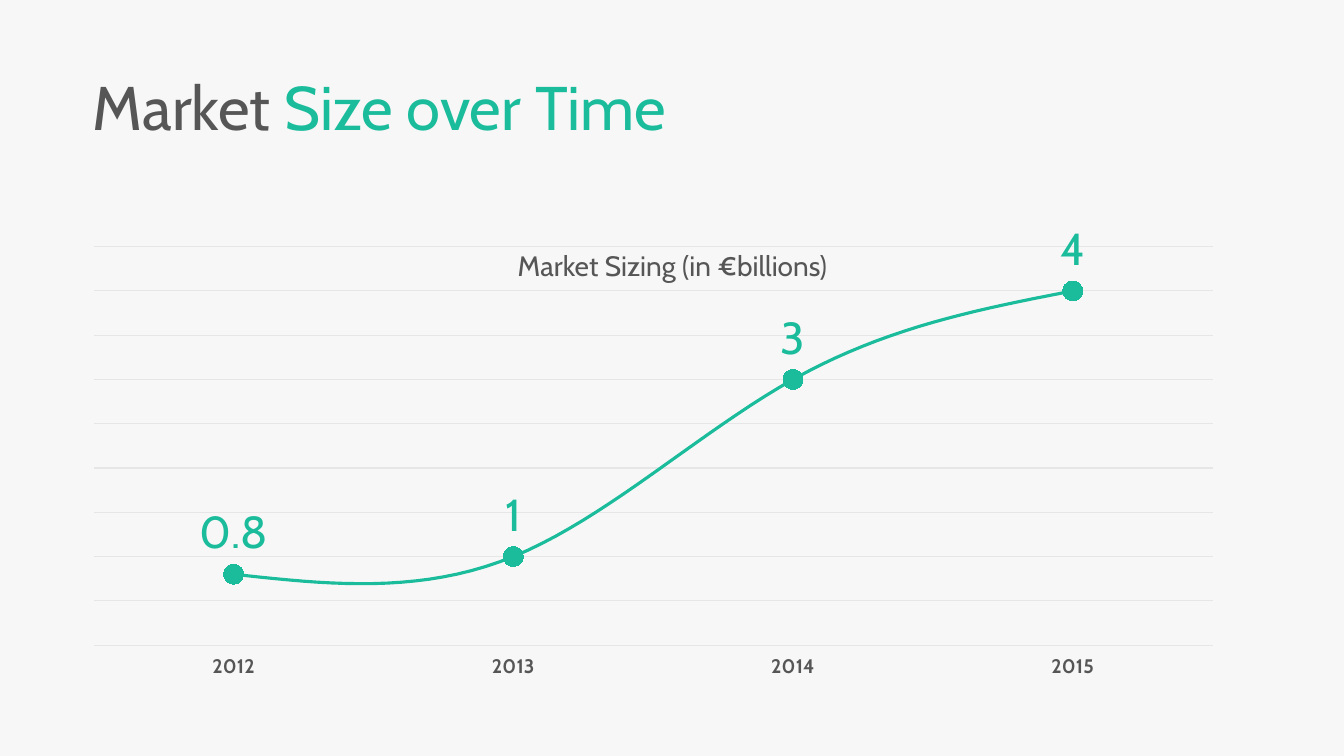
from lxml import etree
from pptx import Presentation
from pptx.chart.data import CategoryChartData
from pptx.dml.color import RGBColor
from pptx.enum.chart import (XL_CHART_TYPE as ChartType, XL_LABEL_POSITION as LabelPos,
                             XL_MARKER_STYLE as MarkerStyle, XL_TICK_LABEL_POSITION as TickLabelPos,
                             XL_TICK_MARK as TickMark)
from pptx.enum.text import MSO_ANCHOR as Anchor, MSO_AUTO_SIZE as AutoSize, PP_ALIGN as Align
from pptx.oxml import parse_xml
from pptx.util import Inches, Pt

BACKGROUND = RGBColor(0xF7, 0xF7, 0xF7)
GREY = RGBColor(0x56, 0x56, 0x56)
GREEN = RGBColor(0x1A, 0xBC, 0x9C)
GRID = RGBColor(0xE6, 0xE6, 0xE6)
CHART_NS = "http://schemas.openxmlformats.org/drawingml/2006/chart"


class SlideBuilder:
    font_name = "Cabin"

    def __init__(self, slide):
        self.slide = slide
        slide.background.fill.solid()
        slide.background.fill.fore_color.rgb = BACKGROUND

    def style(self, font, size, color, bold=False):
        font.name, font.size, font.bold = self.font_name, Pt(size), bold
        font.color.rgb = color

    def line(self, line, color, width):
        line.color.rgb = color
        line.width = Pt(width)

    def title(self, box, parts, size):
        heading = self.slide.shapes.title
        heading.left, heading.top, heading.width, heading.height = map(Inches, box)
        frame = heading.text_frame
        frame.word_wrap, frame.auto_size = True, AutoSize.NONE
        frame.vertical_anchor = Anchor.TOP
        frame.margin_left = 0
        paragraph = frame.paragraphs[0]
        paragraph.alignment = Align.LEFT
        paragraph.line_spacing, paragraph.space_before = 0.9, Pt(10)
        for words, color in parts:
            run = paragraph.add_run()
            run.text = words
            self.style(run.font, size, color)

    def caption(self, box, words, size):
        frame = self.slide.shapes.add_textbox(*map(Inches, box)).text_frame
        frame.word_wrap = True
        frame.text = words
        frame.paragraphs[0].alignment = Align.CENTER
        self.style(frame.paragraphs[0].runs[0].font, size, GREY)

    def line_chart(self, box, values, plot_box):
        data = CategoryChartData()
        data.categories = list(values)
        data.add_series("Series 1", list(values.values()))
        chart = self.slide.shapes.add_chart(
            ChartType.LINE_MARKERS, *map(Inches, box), data).chart
        chart.has_legend = chart.has_title = False
        self.style(chart.font, 10, GREY)

        # Axes and gridlines
        years, billions = chart.category_axis, chart.value_axis
        years.major_tick_mark = years.minor_tick_mark = TickMark.NONE
        years.tick_label_position = TickLabelPos.LOW
        self.style(years.tick_labels.font, 14, GREY, bold=True)
        self.line(years.format.line, GRID, 0.75)
        billions.minimum_scale, billions.maximum_scale = 0, 4.5
        billions.major_unit = 0.5
        billions.has_major_gridlines = True
        self.line(billions.major_gridlines.format.line, GRID, 0.75)
        billions.visible = False

        # Curve, markers and value labels
        plot = chart.plots[0]
        plot.vary_by_categories = False
        market = plot.series[0]
        market.smooth = True
        self.line(market.format.line, GREEN, 2.25)
        market.marker.style, market.marker.size = MarkerStyle.CIRCLE, 14
        market.marker.format.fill.solid()
        market.marker.format.fill.fore_color.rgb = GREEN
        market.marker.format.line.color.rgb = GREEN
        labels = market.data_labels
        labels.show_value, labels.position = True, LabelPos.ABOVE
        self.style(labels.font, 32, GREEN)
        self.place_plot(chart, plot_box)

    def place_plot(self, chart, plot_box):
        area = chart.element.find(f".//{{{CHART_NS}}}plotArea")
        for old in area.findall(f"{{{CHART_NS}}}layout"):
            area.remove(old)
        layout = parse_xml(f'<c:layout xmlns:c="{CHART_NS}"><c:manualLayout/></c:layout>')
        settings = [("layoutTarget", "inner"), ("xMode", "edge"), ("yMode", "edge"),
                    *zip("xywh", plot_box)]
        for tag, value in settings:
            etree.SubElement(layout[0], f"{{{CHART_NS}}}{tag}").set("val", str(value))
        area.insert(0, layout)


def main():
    deck = Presentation()
    deck.slide_width, deck.slide_height = Inches(13.33), Inches(7.5)
    builder = SlideBuilder(deck.slides.add_slide(deck.slide_layouts[5]))

    # Market growth
    builder.line_chart((0.7, 1.87, 11.5, 5.25),
                       {"2012": 0.8, "2013": 1, "2014": 3, "2015": 4},
                       (0.02, 0.11, 0.965, 0.753))
    builder.caption((4.28, 2.42, 4.78, 0.44), "Market Sizing (in €billions)", 20)

    # Heading
    builder.title((0.92, 0.72, 6.8, 0.77),
                  [("Market ", GREY), ("Size over Time", GREEN)], 44)

    deck.save("out.pptx")


if __name__ == "__main__":
    main()
